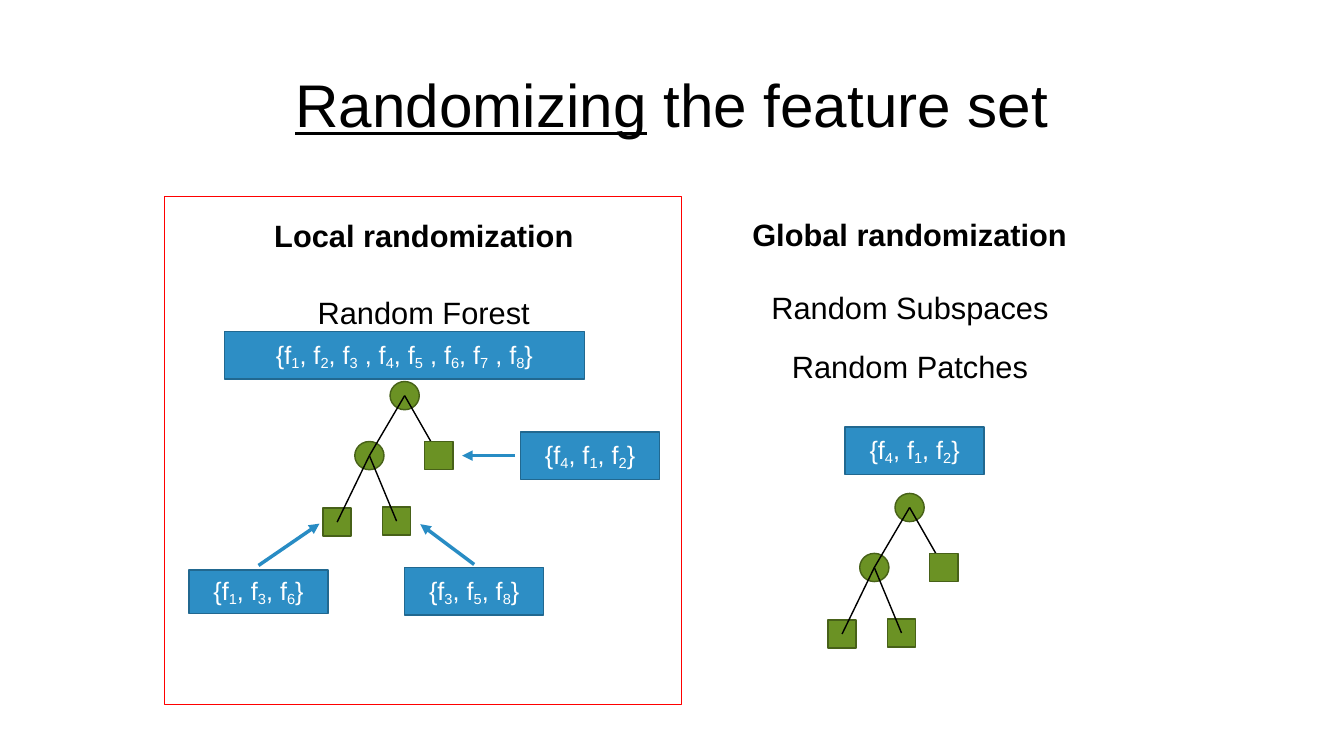
from dataclasses import dataclass
from itertools import groupby

from pptx import Presentation
from pptx import util as u
from pptx.dml.color import RGBColor
from pptx.enum import shapes, text
from pptx.oxml.ns import qn
from lxml import etree


@dataclass(frozen=True)
class Theme:
    font: str = "Arial"
    ink: str = "000000"
    paper: str = "FFFFFF"
    box: str = "2D8EC5"
    box_line: str = "216890"
    node: str = "6B9224"
    node_line: str = "476118"
    arrow: str = "288CC4"
    frame: str = "FF0000"
    title: int = 86
    body: int = 44
    label: int = 36
    space: int = 59


T = Theme()
WIDTH, HEIGHT = 26.67, 15
SIDE = 0.56            # leaf side and node height
NODE_W = 0.58
LABEL_W, LABEL_H = 2.76, 0.94

# Tree node centres, measured from the root
ROOT, INNER, RIGHT = (0, 0), (-0.7, 1.19), (0.68, 1.19)
LOW_LEFT, LOW_RIGHT = (-1.34, 2.51), (-0.16, 2.49)


def rgb(value):
    return RGBColor.from_string(value)


def add_run(p, content, size, color=T.ink, bold=False, underline=False, baseline=0):
    r = p.add_run()
    r.text = content
    f = r.font
    f.name, f.size, f.bold, f.underline = T.font, u.Pt(size), bold, underline
    f.color.rgb = rgb(color)
    if baseline:
        r._r.get_or_add_rPr().set("baseline", str(baseline))


def set_frame(tf, inset, wrap=True):
    tf.word_wrap = wrap
    tf.vertical_anchor = text.MSO_ANCHOR.MIDDLE
    tf.margin_left = tf.margin_right = tf.margin_top = tf.margin_bottom = u.Inches(inset)


def add_text(s, box, lines, bold=False, wrap=True, spacing=1.0):
    tf = s.shapes.add_textbox(*map(u.Inches, box)).text_frame
    set_frame(tf, 0.08, wrap)
    for i, line in enumerate(lines):
        p = tf.add_paragraph() if i else tf.paragraphs[0]
        p.alignment = text.PP_ALIGN.CENTER
        p.space_before, p.line_spacing = u.Pt(T.space), spacing
        add_run(p, line, T.body, bold=bold)


def add_box(s, kind, box, fill, line, width=2):
    sp = s.shapes.add_shape(kind, *map(u.Inches, box))
    sp.shadow.inherit = False
    if fill:
        sp.fill.solid()
        sp.fill.fore_color.rgb = rgb(fill)
    else:
        sp.fill.background()
    sp.line.color.rgb = rgb(line)
    sp.line.width = u.Pt(width)
    return sp


def add_features(s, left, top, features, width=LABEL_W, height=LABEL_H):
    """Blue label in which every digit is set as a subscript."""
    sp = add_box(s, shapes.MSO_SHAPE.RECTANGLE, (left, top, width, height), T.box, T.box_line)
    set_frame(sp.text_frame, 0.1)
    # The text is taller than its label, so only the side insets matter
    sp.text_frame.margin_top = sp.text_frame.margin_bottom = 0
    p = sp.text_frame.paragraphs[0]
    p.alignment = text.PP_ALIGN.CENTER
    for is_index, chars in groupby(features, str.isdigit):
        add_run(p, "".join(chars), T.label, T.paper, baseline=-16000 if is_index else 0)


def add_line(s, start, end, color=T.ink, width=2, arrow=False):
    c = s.shapes.add_connector(shapes.MSO_CONNECTOR.STRAIGHT, *map(u.Inches, (*start, *end)))
    c.line.color.rgb = rgb(color)
    c.line.width = u.Pt(width)
    if arrow:
        etree.SubElement(c.line._get_or_add_ln(), qn("a:tailEnd"), type="triangle")
    etree.SubElement(c._element.spPr, qn("a:effectLst"))


def add_tree(s, x, y):
    """Decision tree with its root centred on (x, y)."""
    def at(node):
        return x + node[0], y + node[1]

    def add_node(node, kind, width):
        cx, cy = at(node)
        add_box(s, kind, (cx - width / 2, cy - SIDE / 2, width, SIDE), T.node, T.node_line)

    def add_leaf(node):
        add_node(node, shapes.MSO_SHAPE.RECTANGLE, SIDE)

    def add_split(node):
        add_node(node, shapes.MSO_SHAPE.OVAL, NODE_W)

    add_split(ROOT)
    add_line(s, at(RIGHT), at(ROOT))
    for leaf in (LOW_LEFT, RIGHT, LOW_RIGHT):
        add_leaf(leaf)
    add_split(INNER)
    for child, parent in ((INNER, ROOT), (LOW_LEFT, INNER), (LOW_RIGHT, INNER)):
        add_line(s, at(child), at(parent))


def add_title(s):
    title = s.shapes.title
    title.left, title.top, title.width, title.height = map(u.Inches, (4.8, 0.39, 17.07, 3.32))
    set_frame(title.text_frame, 0.08)
    p = title.text_frame.paragraphs[0]
    p.alignment = text.PP_ALIGN.CENTER
    add_run(p, "Randomizing", T.title, underline=True)
    add_run(p, " the feature set", T.title)


def add_local(s):
    add_text(s, (4.57, 3.81, 7.69, 1.73), ["Local randomization"], bold=True)
    add_text(s, (6.22, 5.76, 4.38, 0.86), ["Random Forest"], wrap=False)
    add_tree(s, 8.03, 7.85)
    add_features(s, 3.75, 11.31, "{f1, f3, f6}", height=0.86)
    add_features(s, 8.03, 11.26, "{f3, f5, f8}")
    add_features(s, 10.33, 8.57, "{f4, f1, f2}")
    for start, end in (((5.13, 11.22), (6.34, 10.39)),
                       ((10.22, 9.04), (9.17, 9.04)),
                       ((9.41, 11.2), (8.34, 10.4))):
        add_line(s, start, end, T.arrow, 5, arrow=True)
    add_box(s, shapes.MSO_SHAPE.RECTANGLE, (3.27, 3.89, 10.26, 10.09), None, T.frame, 1)
    add_features(s, 4.45, 6.58, "{f1, f2, f3 , f4, f5 , f6, f7 , f8}", width=7.15)


def add_global(s):
    add_text(s, (14.4, 3.78, 7.31, 1.73), ["Global randomization"], bold=True)
    add_text(s, (15.2, 5.79, 5.72, 2.05), ["Random Subspaces", "Random Patches"],
             wrap=False, spacing=0.5)
    add_features(s, 16.77, 8.47, "{f4, f1, f2}")
    add_tree(s, 18.05, 10.07)


def main():
    prs = Presentation()
    prs.slide_width, prs.slide_height = u.Inches(WIDTH), u.Inches(HEIGHT)
    s = prs.slides.add_slide(prs.slide_layouts[5])
    add_title(s)
    add_local(s)
    add_global(s)
    prs.save("out.pptx")


if __name__ == "__main__":
    main()
